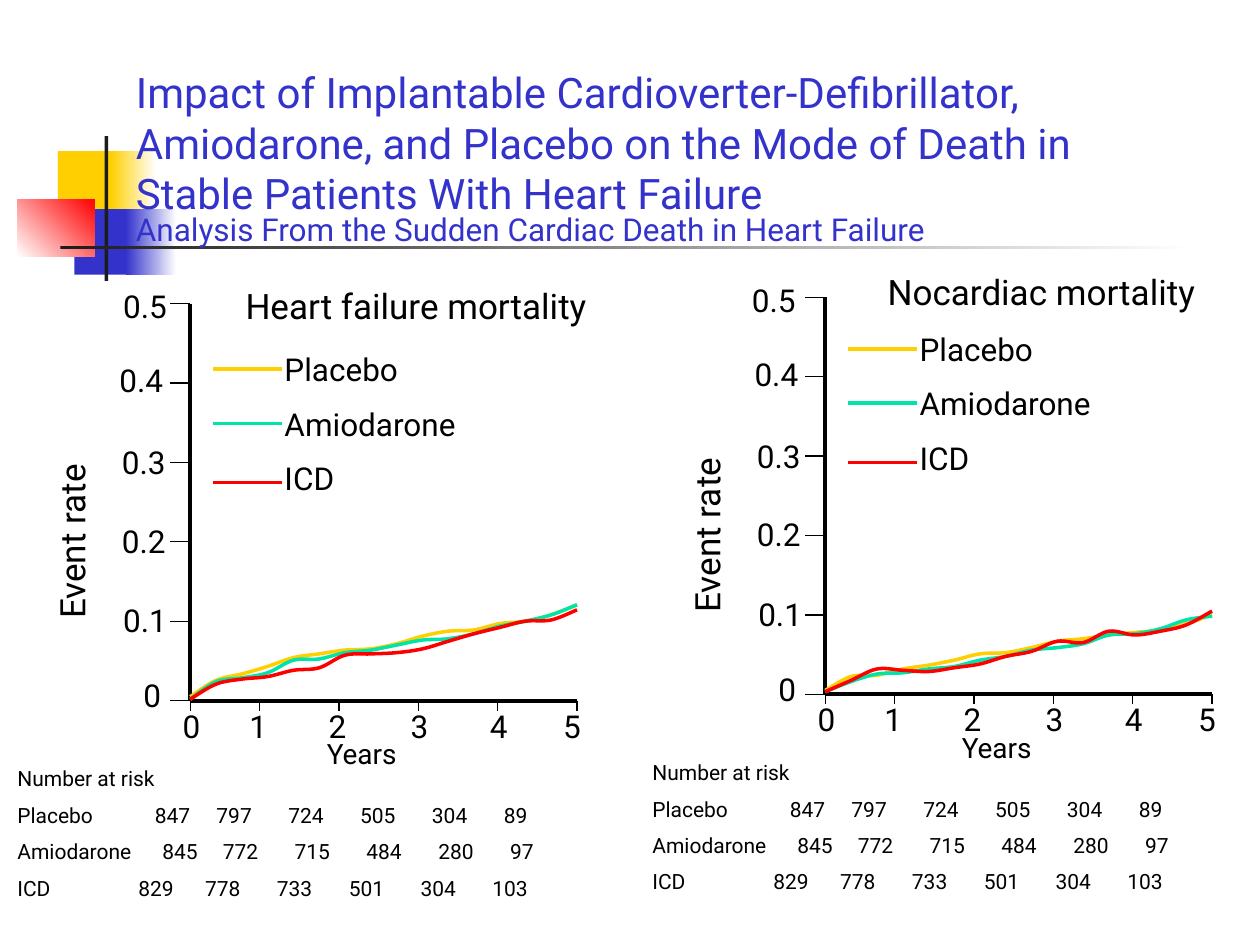
from dataclasses import dataclass

from lxml import etree
from pptx import Presentation
from pptx import util as u
from pptx.dml import color
from pptx.enum import shapes, text
from pptx.oxml import ns

BLACK, BLUE, YELLOW, GREEN, RED = "000000", "3333CC", "FFCF01", "00E4A8", "FF0000"
DARK, WHITE = "1C1C1C", "FFFFFF"
ARMS = {"Placebo": YELLOW, "Amiodarone": GREEN, "ICD": RED}
TICK_STEP, AXIS_WIDTH = 0.63, 3.07
RATE_LABELS = [("0", 1.04, 5.32), ("0.1", 0.88, 4.72), ("0.2", 0.87, 4.09),
               ("0.3", 0.87, 3.47), ("0.4", 0.85, 2.82), ("0.5", 0.88, 2.23)]
YEAR_LABELS = [1.35, 1.88, 2.51, 3.16, 3.79, 4.37]


def risk_stops(first, second):
    """Give six tab stops, the last five evenly spaced."""
    return [first] + [second + 0.57 * step for step in range(5)]


RISK_ROWS = [
    ("Number at risk", []),
    ("Placebo\t847\t797\t724\t505\t304\t89", risk_stops(1.09, 1.58)),
    ("Amiodarone\t845\t772\t715\t484\t280\t97", risk_stops(1.15, 1.63)),
    ("ICD\t829\t778\t733\t501\t304\t103", risk_stops(0.96, 1.49)),
]
BLOCKS = [
    (0.46, 1.2, 0.48, 0.52, YELLOW, None, 0),
    (0.88, 1.2, 0.36, 0.52, YELLOW, WHITE, 0),
    (0.59, 1.66, 0.46, 0.52, BLUE, None, 0),
    (1, 1.66, 0.4, 0.52, BLUE, WHITE, 0),
    (0.14, 1.58, 0.61, 0.46, WHITE, RED, 45),
    (0.83, 1.08, 0.03, 1.15, DARK, None, 0),
    (0.48, 1.95, 9, 0.03, DARK, WHITE, 0),
]
FAILURE_HEIGHTS = [
    [3, 16, 21, 27, 34, 37, 40, 41, 45, 51, 55, 56, 61, 63, 68, 76],
    [1, 15, 18, 22, 32, 33, 38, 40, 44, 48, 49, 53, 59, 63, 68, 76],
    [1, 13, 17, 19, 24, 26, 36, 37, 38, 41, 47, 53, 58, 63, 64, 72],
]
NONCARDIAC_HEIGHTS = [
    [3, 14, 15, 20, 23, 27, 32, 33, 37, 42, 44, 47, 49, 51, 56, 63],
    [2, 10, 16, 17, 20, 22, 27, 30, 35, 37, 40, 47, 48, 52, 59, 62],
    [2, 11, 20, 19, 18, 21, 24, 30, 34, 42, 41, 50, 47, 50, 55, 66],
]


@dataclass
class Panel:
    """One mortality plot, placed by its shift from the left-hand plot."""
    title: str
    title_box: tuple
    centered: bool
    dx: float
    dy: float
    top_label_shift: float
    legend_top: float
    heights: list


def rgb(value):
    """Turn a hex string into a colour."""
    return color.RGBColor.from_string(value)


def add_block(page, left, top, width, height, start, end, angle):
    """Add a plain or two-colour gradient rectangle."""
    block = page.shapes.add_shape(shapes.MSO_SHAPE.RECTANGLE,
                                  *map(u.Inches, (left, top, width, height)))
    block.shadow.inherit = False
    block.line.fill.background()
    if end is None:
        block.fill.solid()
        block.fill.fore_color.rgb = rgb(start)
        return
    block.fill.gradient()
    block.fill.gradient_angle = angle
    for stop, value in zip(block.fill.gradient_stops, (start, end)):
        stop.color.rgb = rgb(value)


def add_text(page, place, rows, size, centered=False, ink=BLACK):
    """Add a text box with one paragraph for each (words, tab stops) row."""
    box = page.shapes.add_textbox(*map(u.Inches, place))
    frame = box.text_frame
    frame.word_wrap = True
    for index, (words, stops) in enumerate(rows):
        para = frame.add_paragraph() if index else frame.paragraphs[0]
        para.alignment = text.PP_ALIGN.CENTER if centered else text.PP_ALIGN.LEFT
        if index:
            para.space_before = u.Pt(round(size * 0.53, 1))
        if stops:
            tabs = etree.SubElement(para._p.get_or_add_pPr(), ns.qn("a:tabLst"))
            for stop in stops:
                etree.SubElement(tabs, ns.qn("a:tab"), pos=str(u.Inches(stop)), algn="l")
        span = para.add_run()
        span.text = words
        span.font.name, span.font.size = "Roboto", u.Pt(size)
        span.font.color.rgb = rgb(ink)
    return box


def add_line(page, start, end, width=0.75, ink=BLACK):
    """Add a straight line between two points."""
    line = page.shapes.add_connector(shapes.MSO_CONNECTOR.STRAIGHT,
                                     *map(u.Inches, (*start, *end)))
    line.line.color.rgb = rgb(ink)
    line.line.width = u.Pt(width)
    etree.SubElement(line.element.spPr, ns.qn("a:effectLst"))


def smooth_points(points):
    """Give the three Bezier points of each segment through the given points."""
    padded = [points[0], *points, points[-1]]
    result = []
    for before, start, end, after in zip(padded, padded[1:], padded[2:], padded[3:]):
        result.append(tuple(s + (e - b) / 6 for b, s, e in zip(before, start, end)))
        result.append(tuple(e - (a - s) / 6 for s, e, a in zip(start, end, after)))
        result.append(end)
    return result


def add_curve(page, points, ink):
    """Add an open smooth curve through the given points."""
    builder = page.shapes.build_freeform(*map(u.Inches, points[0]))
    builder.add_line_segments([tuple(map(u.Inches, point)) for point in smooth_points(points)],
                              close=False)
    curve = builder.convert_to_shape()
    curve.shadow.inherit = False
    curve.fill.background()
    curve.line.color.rgb = rgb(ink)
    curve.line.width = u.Pt(2)
    outline = next(curve.element.iter(ns.qn("a:path")))
    legs = outline.findall(ns.qn("a:lnTo"))
    for first in range(0, len(legs), 3):
        segment = etree.SubElement(outline, ns.qn("a:cubicBezTo"))
        for leg in legs[first:first + 3]:
            segment.append(leg[0])
            outline.remove(leg)


def add_axes(page, panel):
    """Add the axes, ticks, labels and numbers at risk of a panel."""
    dx, dy = panel.dx, panel.dy
    left, base = 1.51 + dx, 5.56 + dy
    right = left + AXIS_WIDTH
    add_line(page, (left, base - 5 * TICK_STEP), (left, base), 2.25)
    add_line(page, (left, base), (right, base), 2.25)
    for index, (label, x, y) in enumerate(RATE_LABELS):
        tick = base - index * TICK_STEP
        add_line(page, (left - 0.16, tick), (left, tick))
        shift = panel.top_label_shift if label == "0.5" else 0
        add_text(page, (x + dx + shift, y + dy, 0.63, 0.4), [(label, [])], 18)
    for year, x in enumerate(YEAR_LABELS):
        tick = right - (5 - year) * TICK_STEP if year else left
        add_line(page, (tick, base), (tick, base + 0.08))
        add_text(page, (x + dx, base, 0.39, 0.4), [(str(year), [])], 18)
    rate = add_text(page, (0.35 + dx, 2.81 + dy, 0.53, 2.2), [("Event rate", [])], 20, True)
    rate.rotation = 180
    rate.text_frame._txBody.bodyPr.set("vert", "eaVert")
    add_text(page, (2.16 + dx, 5.8 + dy, 1.42, 0.37), [("Years", [])], 16, True)
    add_text(page, (0.04 + dx, 6.03 + dy, 4.8, 1.2), RISK_ROWS, 12)


def add_legend(page, panel):
    """Add the panel title and the key to its curves."""
    left, top = 1.69 + panel.dx, panel.legend_top
    add_text(page, (2.16 + panel.dx, top, 1.57, 1.3), [(arm, []) for arm in ARMS], 18)
    for ink, offset in zip(ARMS.values(), (0.2, 0.63, 1.1)):
        add_line(page, (left, top + offset), (left + 0.55, top + offset), 2, ink)
    add_text(page, panel.title_box, [(panel.title, [])], 20, panel.centered)


def add_curves(page, panel):
    """Add one curve per arm from its evenly spaced heights."""
    left, base = 1.51 + panel.dx, 5.56 + panel.dy
    for heights, ink in zip(panel.heights, ARMS.values()):
        step = AXIS_WIDTH / (len(heights) - 1)
        add_curve(page, [(left + index * step, base - height / 100)
                         for index, height in enumerate(heights)], ink)


def main():
    """Build the slide and save it."""
    deck = Presentation()
    deck.slide_width, deck.slide_height = u.Inches(10), u.Inches(7.5)
    page = deck.slides.add_slide(deck.slide_layouts[6])
    for block in BLOCKS:
        add_block(page, *block)
    add_text(page, (0.98, 0.48, 7.72, 1.3),
             [("Impact of Implantable Cardioverter-Defibrillator, Amiodarone, and Placebo "
               "on the Mode of Death in Stable Patients With Heart Failure", [])], 24, ink=BLUE)
    add_text(page, (0.98, 1.62, 7.32, 0.4),
             [("Analysis From the Sudden Cardiac Death in Heart Failure", [])], 18, ink=BLUE)
    for panel in (Panel("Heart failure mortality", (1.85, 2.21, 2.91, 0.43), False,
                        0, 0, 0, 2.73, FAILURE_HEIGHTS),
                  Panel("Nocardiac mortality", (6.57, 2.1, 3.39, 0.43), True,
                        5.04, -0.05, -0.05, 2.57, NONCARDIAC_HEIGHTS)):
        add_axes(page, panel)
        add_legend(page, panel)
        add_curves(page, panel)
    deck.save("out.pptx")


if __name__ == "__main__":
    main()
